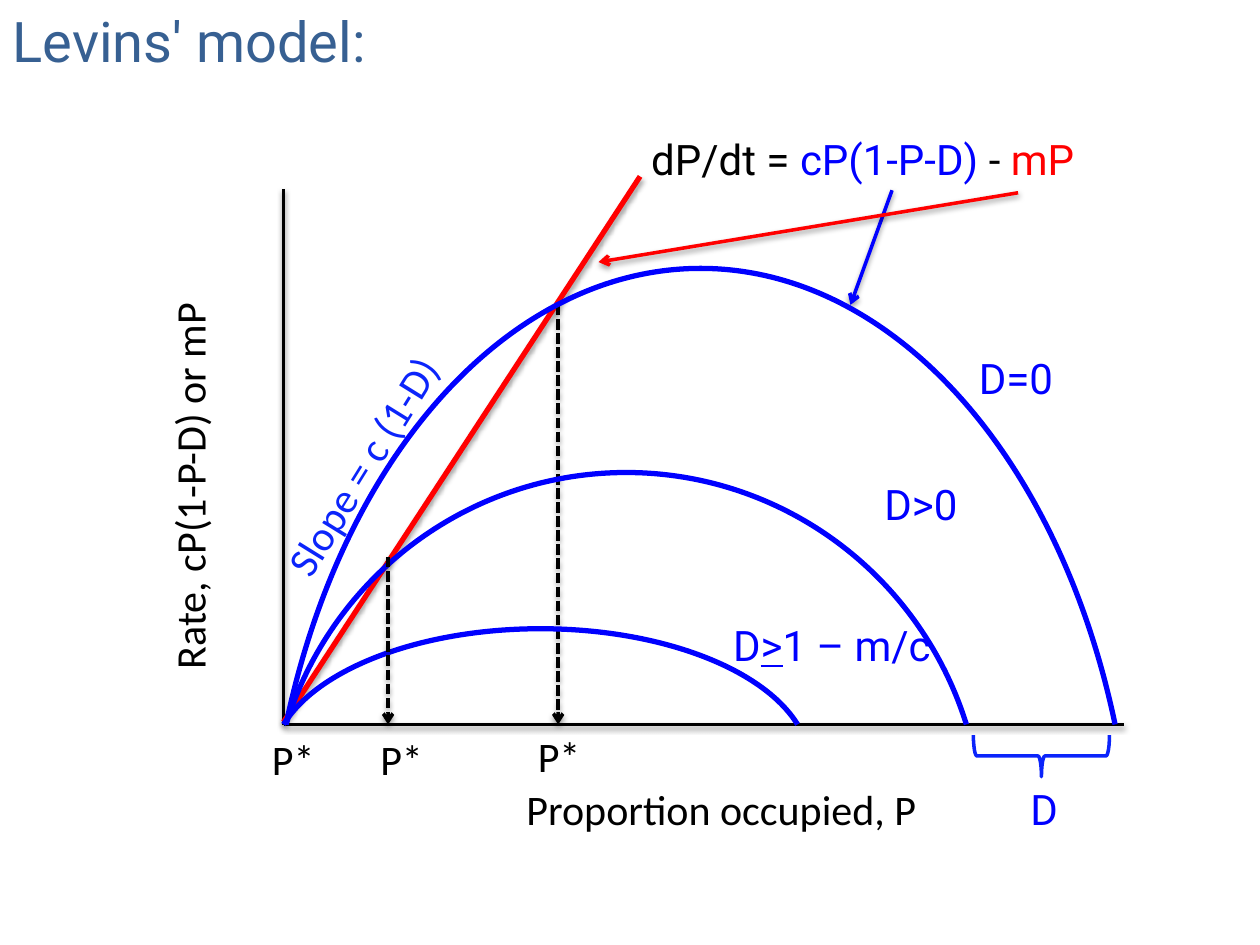
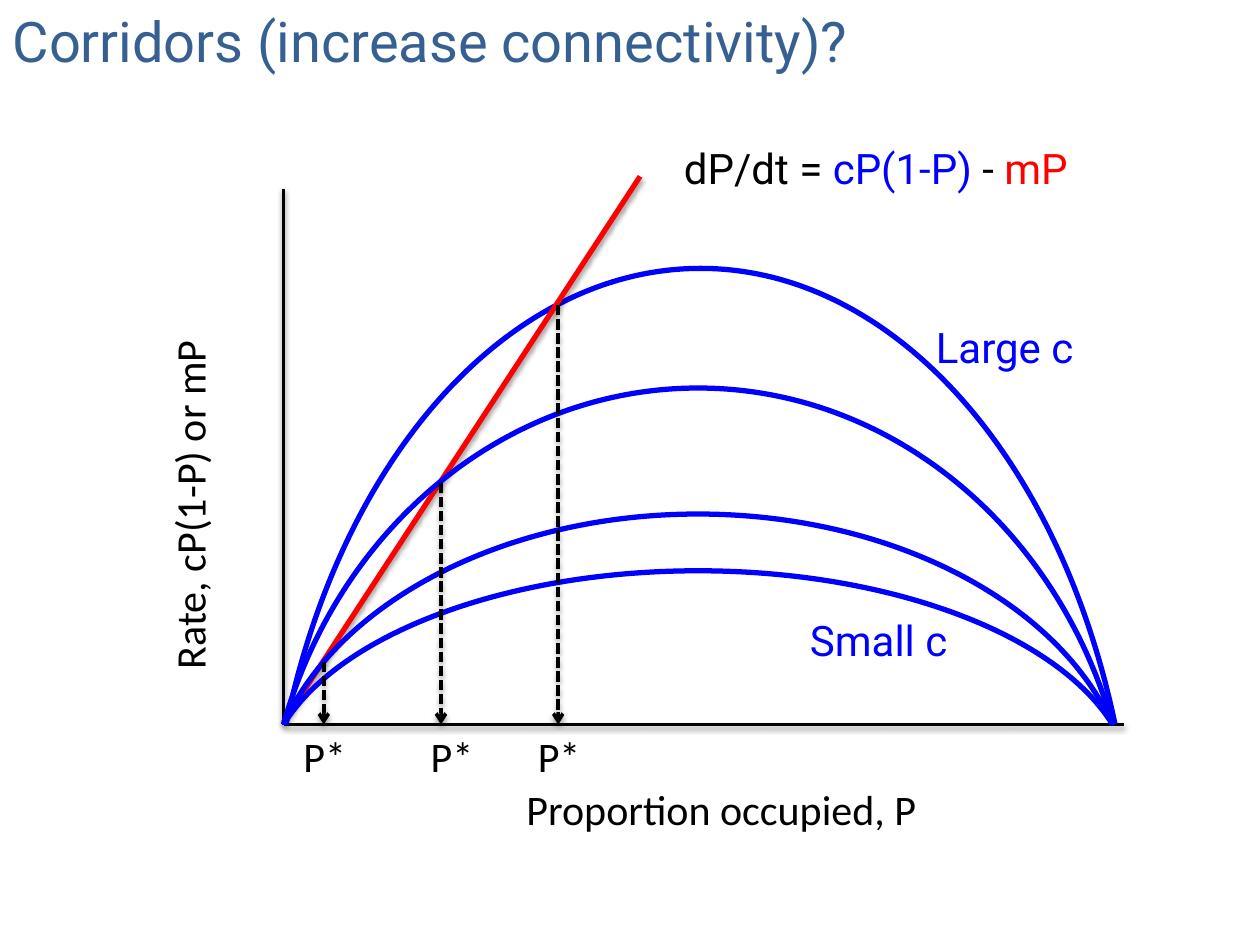
import math

from lxml import etree
from pptx import Presentation
from pptx.dml.color import RGBColor
from pptx.enum.dml import MSO_LINE
from pptx.enum.shapes import MSO_CONNECTOR, MSO_SHAPE
from pptx.enum.text import MSO_ANCHOR, MSO_AUTO_SIZE, PP_ALIGN
from pptx.oxml import parse_xml
from pptx.oxml.ns import nsdecls, qn
from pptx.util import Inches, Pt

STRAIGHT = MSO_CONNECTOR.STRAIGHT
RIGHT_BRACE = MSO_SHAPE.RIGHT_BRACE
DASHED = MSO_LINE.SQUARE_DOT
LEFT = PP_ALIGN.LEFT
TOP = MSO_ANCHOR.TOP
GROW = MSO_AUTO_SIZE.SHAPE_TO_FIT_TEXT

BLACK, RED, BLUE = "000000", "FF0000", "0000FF"
BRIGHT_BLUE, TITLE_BLUE = "0B24FB", "376092"
BODY_FONT, ACCENT_FONT = "Calibri", "Roboto"

AXIS_X, AXIS_Y = 2.25, 5.75
LABEL_HEIGHT = 0.5
# Every curve is an ellipse cut off at this share of its vertical radius.
CUT = 0.3

LINE_SHADOW = (
    f'<a:effectLst {nsdecls("a")}>'
    '<a:outerShdw blurRad="39370" dist="20320" dir="5400000" rotWithShape="0">'
    '<a:srgbClr val="000000"><a:alpha val="38000"/></a:srgbClr>'
    '</a:outerShdw></a:effectLst>'
)


def rgb(color):
    return RGBColor.from_string(color)


def write(frame, text, size=24, font=BODY_FONT, color=BLACK, wrap=True):
    """Fill a frame with a string, or with (text, color, underline) spans."""
    frame.word_wrap = wrap
    frame.auto_size = GROW
    para = frame.paragraphs[0]
    para.alignment = LEFT
    spans = [(text, color, None)] if isinstance(text, str) else text
    for words, span_color, underline in spans:
        span = para.add_run()
        span.text = words
        span.font.size = Pt(size)
        span.font.name = font
        span.font.underline = underline
        span.font.color.rgb = rgb(span_color)


def add_label(slide, text, left, top, width, rotation=0, **style):
    box = slide.shapes.add_textbox(
        Inches(left), Inches(top), Inches(width), Inches(LABEL_HEIGHT))
    box.rotation = rotation
    write(box.text_frame, text, **style)


def add_line(slide, start, end, color=BLACK, width=2, dash=None, arrow=False):
    line = slide.shapes.add_connector(
        STRAIGHT, *(Inches(value) for value in (*start, *end)))
    line.line.color.rgb = rgb(color)
    line.line.width = Pt(width)
    if dash is not None:
        line.line.dash_style = dash
    if arrow:
        outline = line.line._get_or_add_ln()
        etree.SubElement(outline, qn("a:tailEnd"), type="arrow")
    line._element.spPr.append(parse_xml(LINE_SHADOW))


def outline_only(shape, color, width):
    shape.shadow.inherit = False
    shape.fill.background()
    shape.line.color.rgb = rgb(color)
    shape.line.width = Pt(width)


def add_curve(slide, left, right, peak):
    """Draw the colonisation curve that stands on the horizontal axis."""
    radius_x = (right - left) / 2 / math.sqrt(1 - CUT ** 2)
    radius_y = (AXIS_Y - peak) / (1 - CUT)
    middle = (right - left) / 2
    first = math.asin(CUT)
    sweep = math.pi / 2 - first
    reach = 4 / 3 * math.tan(sweep / 4)

    def ellipse_point(angle, shift=0):
        """Give a point of the ellipse, moved along its tangent by shift."""
        return (middle + radius_x * (math.cos(angle) - shift * math.sin(angle)),
                radius_y * (1 - math.sin(angle) - shift * math.cos(angle)))

    corners = [(Inches(x), Inches(y)) for x, y in (
        (right, AXIS_Y), (left + middle, peak), (left, AXIS_Y),
        (left + middle, peak + radius_y))]
    builder = slide.shapes.build_freeform(*corners[0])
    builder.add_line_segments(corners[1:], close=False)
    curve = builder.convert_to_shape()
    outline_only(curve, BLUE, 3)

    geometry = next(curve._element.iter(qn("a:path")))
    for segment in list(geometry):
        geometry.remove(segment)
    commands = [("a:moveTo", [ellipse_point(first)])]
    for start in (first, first + sweep):
        end = start + sweep
        commands.append(("a:cubicBezTo", [
            ellipse_point(start, reach), ellipse_point(end, -reach),
            ellipse_point(end)]))
    for command, points in commands:
        segment = etree.SubElement(geometry, qn(command))
        for x, y in points:
            etree.SubElement(segment, qn("a:pt"),
                             x=str(Inches(x)), y=str(Inches(y)))


def add_equilibrium(slide, x, top, label_left, label_top=5.75):
    """Drop an arrow from a crossing point to its P* on the axis."""
    add_line(slide, (x, top), (x, AXIS_Y), dash=DASHED, arrow=True)
    add_label(slide, "P*", label_left, label_top, 0.67)


def add_extinction_line(slide):
    add_line(slide, (AXIS_X, 5.73), (5.08, 1.4), color=RED, width=3)


def add_equation(slide, gain, left, top, width):
    spans = [("dP/dt = ", BLACK, None), (gain, BLUE, None),
             (" - ", BLACK, None), ("mP", RED, None)]
    add_label(slide, spans, left, top, width, font=ACCENT_FONT, wrap=False)


def add_curve_label(slide, text, left, top, width):
    add_label(slide, text, left, top, width, font=ACCENT_FONT, color=BLUE)


def add_chart_slide(deck, heading, gain):
    """Start a slide with its title, the axes and the axis labels."""
    slide = deck.slides.add_slide(deck.slide_layouts[5])
    title = slide.shapes.title
    title.left, title.top = Inches(0), Inches(0)
    title.width, title.height = Inches(9.18), Inches(0.64)
    title.text_frame.vertical_anchor = TOP
    write(title.text_frame, heading, size=32, font=ACCENT_FONT, color=TITLE_BLUE)
    add_label(slide, "Proportion occupied, P", 4.08, 6.17, 4)
    add_line(slide, (AXIS_X, 1.5), (AXIS_X, AXIS_Y))
    add_line(slide, (8.92, AXIS_Y), (AXIS_X, AXIS_Y))
    add_label(slide, f"Rate, {gain} or mP", -0.5, 3.16, 4, rotation=270)
    return slide


def add_levins_slide(deck):
    gain = "cP(1-P-D)"
    slide = add_chart_slide(deck, "Levins' model:", gain)
    add_extinction_line(slide)
    add_line(slide, (7.08, 1.51), (6.75, 2.42), color=BLUE, arrow=True)
    add_line(slide, (8.08, 1.53), (4.75, 2.08), color=RED, arrow=True)
    add_equilibrium(slide, 4.43, 2.42, 4.17)
    add_equation(slide, gain, 5.07, 1.01, 3.7)

    for left, right, peak in ((2.27, 8.85, 2.13), (2.27, 7.67, 3.75),
                              (2.25, 6.33, 4.99)):
        add_curve(slide, left, right, peak)
    add_curve_label(slide, "D=0", 7.67, 2.75, 1.08)
    add_curve_label(slide, "D>0", 6.92, 3.75, 1.08)
    threshold = [("D", BLUE, None), (">", BLUE, True), ("1 – m/c", BLUE, None)]
    add_curve_label(slide, threshold, 5.72, 4.87, 1.83)

    add_label(slide, "P*", 2.06, 5.77, 0.67)
    add_equilibrium(slide, 3.08, 4.42, 2.92, 5.77)
    brace = slide.shapes.add_shape(
        RIGHT_BRACE, Inches(8.1), Inches(5.46), Inches(0.33), Inches(1.08))
    brace.rotation = 90
    outline_only(brace, BRIGHT_BLUE, 2)
    add_curve_label(slide, "D", 8.08, 6.17, 1.08)
    add_label(slide, "Slope = c (1-D)", 1.7, 3.28, 2.55,
              rotation=301.8, color=BRIGHT_BLUE)


def add_corridors_slide(deck):
    gain = "cP(1-P)"
    slide = add_chart_slide(deck, "Corridors (increase connectivity)?", gain)
    add_curve(slide, 2.27, 8.85, 2.13)
    add_extinction_line(slide)
    add_equation(slide, gain, 5.33, 1.08, 3.32)
    for peak in (3.08, 4.08, 4.53):
        add_curve(slide, 2.25, 8.83, peak)
    for x, top, label_left in ((4.43, 2.42, 4.17), (2.57, 5.25, 2.31),
                               (3.5, 3.83, 3.32)):
        add_equilibrium(slide, x, top, label_left)
    add_curve_label(slide, "Small c", 6.33, 4.83, 1.83)
    add_curve_label(slide, "Large c", 7.33, 2.5, 1.83)


def main():
    deck = Presentation()
    deck.slide_width, deck.slide_height = Inches(10), Inches(7.5)
    add_levins_slide(deck)
    add_corridors_slide(deck)
    deck.save("out.pptx")


if __name__ == "__main__":
    main()
